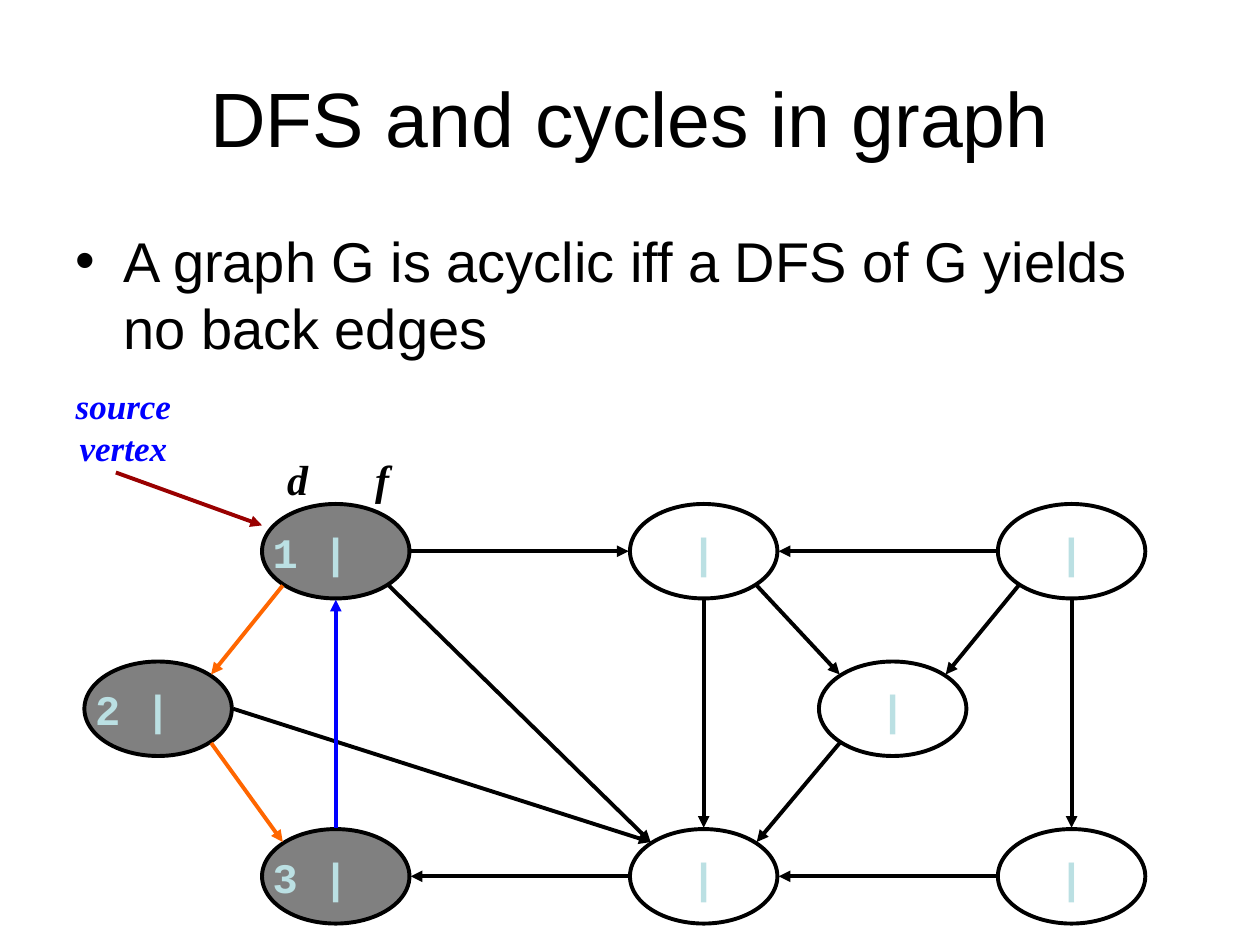
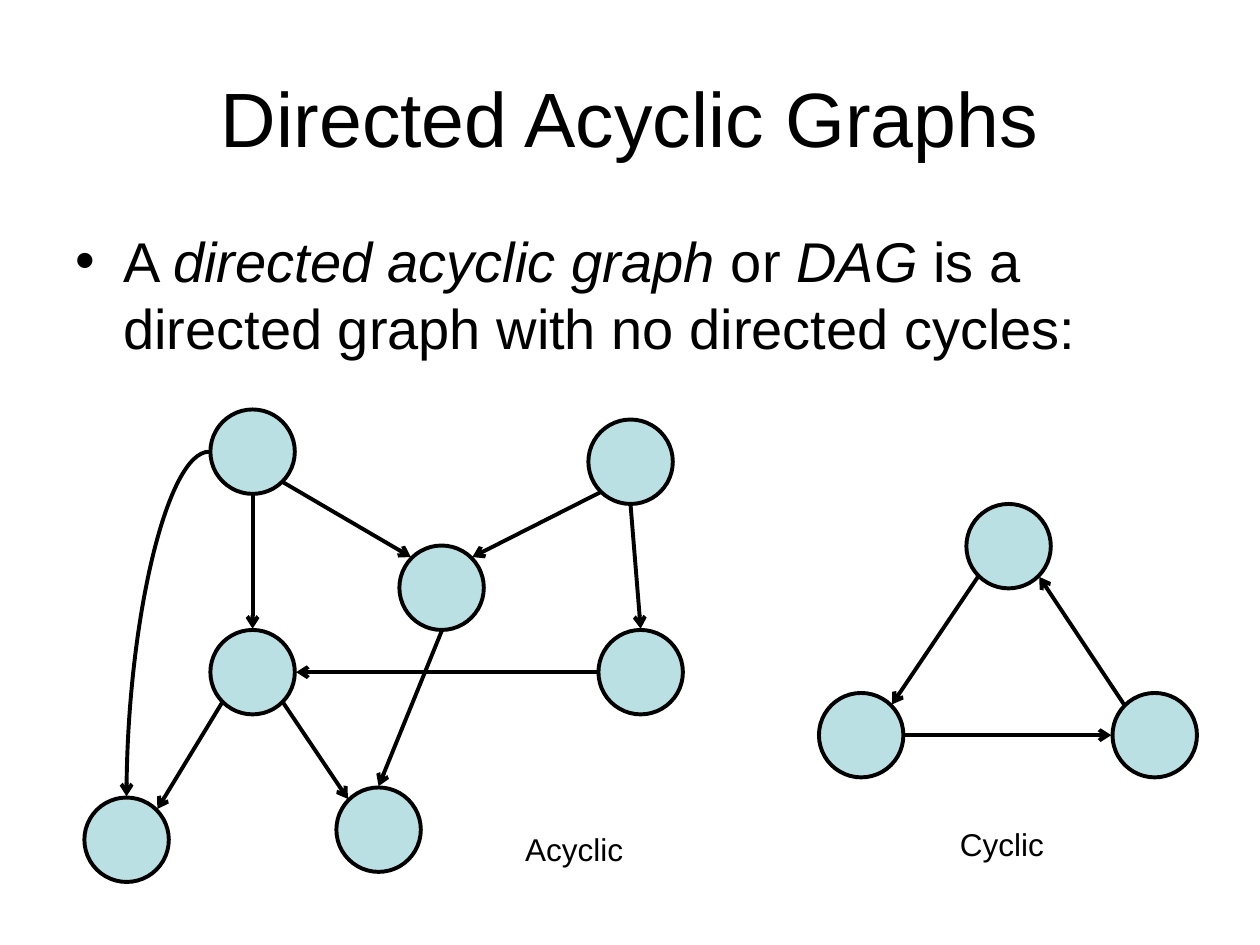
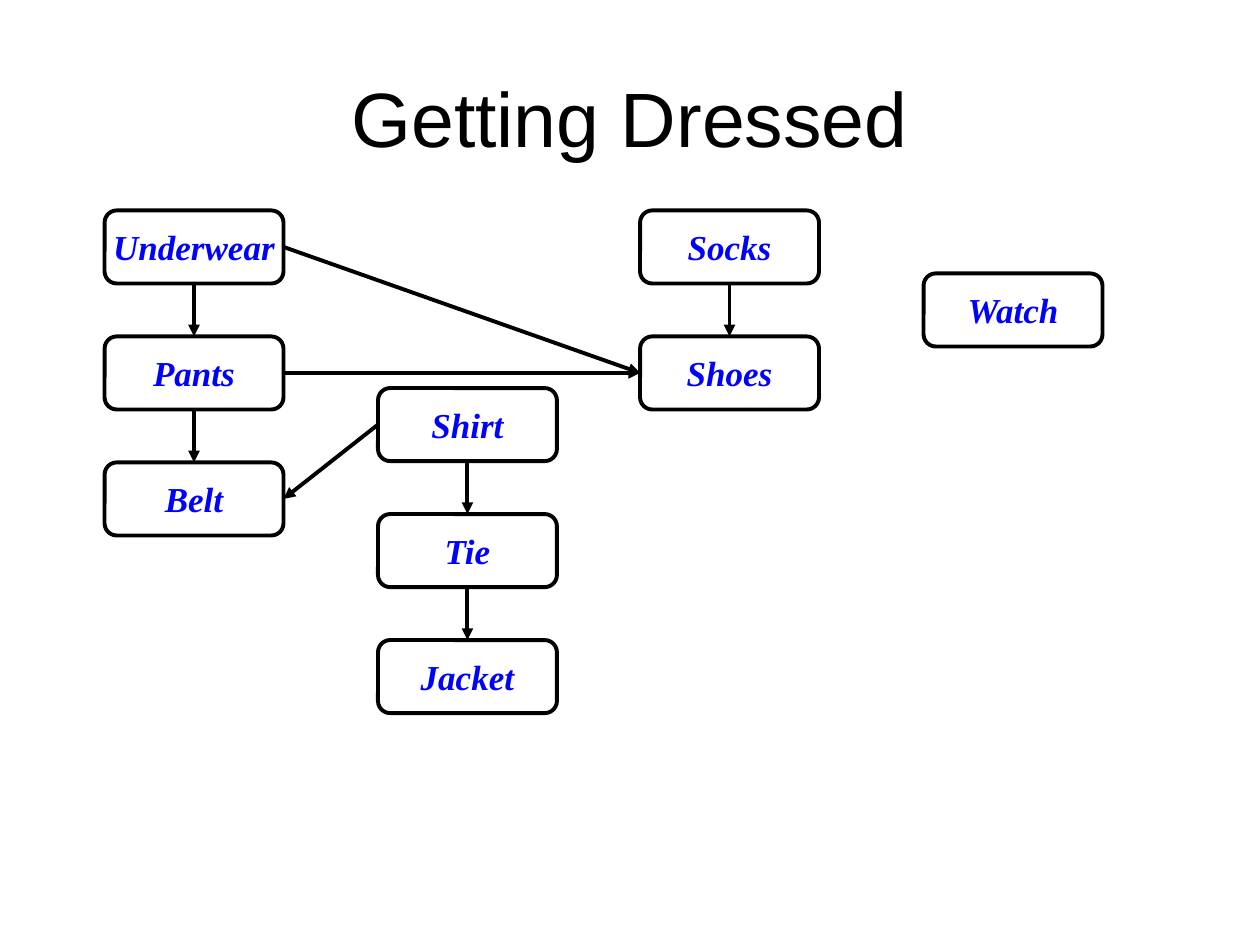
from math import sqrt

from lxml import etree
from pptx import Presentation
from pptx.dml.color import RGBColor
from pptx.enum.shapes import MSO_CONNECTOR, MSO_SHAPE
from pptx.enum.text import MSO_ANCHOR, PP_ALIGN
from pptx.oxml.ns import qn
from pptx.util import Inches, Pt

STRAIGHT, CURVE = MSO_CONNECTOR.STRAIGHT, MSO_CONNECTOR.CURVE
OVAL, ROUNDED = MSO_SHAPE.OVAL, MSO_SHAPE.ROUNDED_RECTANGLE
LEFT, CENTER = PP_ALIGN.LEFT, PP_ALIGN.CENTER
TOP, MIDDLE = MSO_ANCHOR.TOP, MSO_ANCHOR.MIDDLE

BLACK, WHITE, GRAY = "000000", "FFFFFF", "808080"
PALE_BLUE, BLUE, ORANGE, DARK_RED = "BBE0E3", "0000FF", "FF6600", "990000"
SANS, SERIF, MONO = "Arial", "Times New Roman", "Courier New"
LINE_WIDTH = Pt(2.25)

TITLE_BOX = (0.5, 0.3, 9, 1.25)
BODY_BOX = (0.5, 1.75, 9, 4.95)

# Points on an ellipse's outline, as multiples of its half width and height
DIAGONAL = 1 / sqrt(2)
COMPASS = {
    "n": (0, -1), "s": (0, 1), "w": (-1, 0), "e": (1, 0),
    "nw": (-DIAGONAL, -DIAGONAL), "ne": (DIAGONAL, -DIAGONAL),
    "sw": (-DIAGONAL, DIAGONAL), "se": (DIAGONAL, DIAGONAL),
}
SIDES = {"n": 0, "w": 1, "s": 2, "e": 3}
EDGE_GAP = 0.01


def rgb(color):
    return RGBColor.from_string(color)


def inches(*lengths):
    return [Inches(length) for length in lengths]


def format_runs(paragraph, size, font, color=BLACK, bold=False, italic=False):
    for run in paragraph.runs:
        run.font.size = Pt(size)
        run.font.name = font
        run.font.color.rgb = rgb(color)
        run.font.bold = bold
        run.font.italic = italic


def add_text(slide, box, text, size, font, align=LEFT, anchor=TOP, **style):
    text_box = slide.shapes.add_textbox(*inches(*box))
    frame = text_box.text_frame
    frame.word_wrap = True
    frame.vertical_anchor = anchor
    paragraph = frame.paragraphs[0]
    paragraph.text = text
    paragraph.alignment = align
    format_runs(paragraph, size, font, **style)
    return paragraph


def add_title(slide, text):
    add_text(slide, TITLE_BOX, text, 44, SANS, CENTER, MIDDLE)


def add_bullet(slide, parts):
    """Add the body bullet; every second part is italic."""
    paragraph = add_text(slide, BODY_BOX, "", 32, SANS)
    for part in parts:
        paragraph.add_run().text = part
    format_runs(paragraph, 32, SANS)
    for run in paragraph.runs[1::2]:
        run.font.italic = True
    paragraph.space_before = Pt(8)
    properties = paragraph._p.get_or_add_pPr()
    properties.set("marL", str(Inches(0.38)))
    properties.set("indent", str(Inches(-0.38)))
    etree.SubElement(properties, qn("a:buFont"), typeface=SANS)
    etree.SubElement(properties, qn("a:buChar"), char="•")


def add_tab_stop(paragraph, position):
    tabs = etree.SubElement(paragraph._p.get_or_add_pPr(), qn("a:tabLst"))
    etree.SubElement(tabs, qn("a:tab"), pos=str(Inches(position)), algn="l")


def add_node(slide, preset, box, fill=None):
    node = slide.shapes.add_shape(preset, *inches(*box))
    node.shadow.inherit = False
    if fill:
        node.fill.solid()
        node.fill.fore_color.rgb = rgb(fill)
    else:
        node.fill.background()
    node.line.color.rgb = rgb(BLACK)
    node.line.width = LINE_WIDTH
    return node


def label_node(node, text, size, font, color, italic=False):
    frame = node.text_frame
    frame.word_wrap = False
    frame.vertical_anchor = MIDDLE
    frame.text = text
    paragraph = frame.paragraphs[0]
    paragraph.alignment = CENTER
    format_runs(paragraph, size, font, color, bold=True, italic=italic)


def add_arrow(slide, start, end, color=BLACK, head="triangle", kind=STRAIGHT):
    arrow = slide.shapes.add_connector(kind, *inches(*start, *end))
    arrow.line.color.rgb = rgb(color)
    arrow.line.width = LINE_WIDTH
    etree.SubElement(arrow.line._get_or_add_ln(), qn("a:tailEnd"), type=head)
    etree.SubElement(arrow.element.spPr, qn("a:effectLst"))
    return arrow


def outline_point(box, direction):
    left, top, width, height = box
    across, down = COMPASS[direction]
    return (left + width / 2 + across * (width / 2 + EDGE_GAP),
            top + height / 2 + down * (height / 2 + EDGE_GAP))


def connect_ovals(slide, boxes, edges, **style):
    for source, leaving, target, entering in edges:
        add_arrow(slide, outline_point(boxes[source], leaving),
                  outline_point(boxes[target], entering), **style)


def add_search_graph(slide, left, top):
    width, height = 1.17, 0.75
    columns = [left + 1.41 + 2.92 * index for index in range(3)]
    middle, bottom = top + 1.25, top + 2.58
    corners = {
        "first": (columns[0], top), "upper": (columns[1], top),
        "corner": (columns[2], top), "last": (columns[2], bottom),
        "lower": (columns[1], bottom), "third": (columns[0], bottom),
        "second": (left, middle), "inner": (left + 5.83, middle),
    }
    discovery_times = {"first": 1, "second": 2, "third": 3}
    boxes = {name: (*corner, width, height) for name, corner in corners.items()}
    for name, box in boxes.items():
        time = discovery_times.get(name)
        node = add_node(slide, OVAL, box, GRAY if time else None)
        label_node(node, f"{time} |" if time else "|", 24, MONO, PALE_BLUE)
        if time:
            node.text_frame.margin_left = 0
            node.text_frame.margin_right = Inches(0.4)

    connect_ovals(slide, boxes, [
        ("first", "sw", "second", "ne"), ("second", "se", "third", "nw"),
    ], color=ORANGE)
    connect_ovals(slide, boxes, [
        ("second", "e", "lower", "nw"), ("lower", "w", "third", "e"),
        ("first", "se", "lower", "nw"), ("upper", "s", "lower", "n"),
        ("first", "e", "upper", "w"), ("corner", "w", "upper", "e"),
        ("upper", "se", "inner", "nw"), ("corner", "sw", "inner", "ne"),
        ("corner", "s", "last", "n"), ("last", "w", "lower", "e"),
        ("inner", "sw", "lower", "ne"),
    ])
    connect_ovals(slide, boxes, [("third", "n", "first", "s")], color=BLUE)

    times = add_text(slide, (left + 1.51, top - 0.45, 1.4, 0.5), "d\tf", 24, SERIF,
                     anchor=MIDDLE, bold=True, italic=True)
    add_tab_stop(times, 0.7)
    add_arrow(slide, (left + 0.25, top - 0.25), (columns[0], top + 0.17), DARK_RED)
    add_text(slide, (left - 0.27, top - 1, 1.16, 0.77), "source\nvertex", 20, SERIF,
             CENTER, color=BLUE, bold=True, italic=True)


def add_circles(slide, left, top, corners):
    size = 0.67
    boxes = {name: (left + x, top + y, size, size) for name, (x, y) in corners.items()}
    for box in boxes.values():
        add_node(slide, OVAL, box, PALE_BLUE)
    return boxes


def add_acyclic_graph(slide, left, top):
    boxes = add_circles(slide, left, top, {
        "left root": (1, 0), "right root": (4, 0.08), "center": (2.5, 1.08),
        "left": (1, 1.75), "right": (4.08, 1.75),
        "right leaf": (2, 3), "left leaf": (0, 3.08),
    })
    connect_ovals(slide, boxes, [
        ("left root", "s", "left", "n"), ("left root", "se", "center", "nw"),
        ("right root", "sw", "center", "ne"), ("right root", "s", "right", "n"),
        ("right", "w", "left", "e"), ("center", "s", "right leaf", "n"),
        ("left", "se", "right leaf", "nw"), ("left", "sw", "left leaf", "ne"),
    ], head="arrow")
    bend = add_arrow(slide, outline_point(boxes["left root"], "w"),
                     outline_point(boxes["left leaf"], "n"), head="arrow", kind=CURVE)
    bend.element.spPr.find(qn("a:prstGeom")).set("prst", "curvedConnector2")
    add_text(slide, (left + 3.4, top + 3.29, 1.2, 0.4), "Acyclic", 18, SANS)


def add_cyclic_graph(slide, left, top):
    boxes = add_circles(slide, left, top, {
        "top": (1.17, 0), "right": (2.33, 1.5), "left": (0, 1.5),
    })
    connect_ovals(slide, boxes, [
        ("top", "sw", "left", "ne"), ("left", "e", "right", "w"),
        ("right", "nw", "top", "se"),
    ], head="arrow")
    add_text(slide, (left + 1.02, top + 2.5, 1.2, 0.4), "Cyclic", 18, SANS)


def add_clothing_graph(slide, left, top):
    columns = [
        (0, 0, ["Underwear", "Pants", "Belt"]),
        (4.25, 0, ["Socks", "Shoes"]),
        (2.17, 1.41, ["Shirt", "Tie", "Jacket"]),
        (6.5, 0.5, ["Watch"]),
    ]
    nodes = {}
    edges = [("Shirt", "w", "Belt", "e"), ("Underwear", "e", "Shoes", "w"),
             ("Pants", "e", "Shoes", "w")]
    for x, y, garments in columns:
        for row, garment in enumerate(garments):
            node = add_node(slide, ROUNDED, (left + x, top + y + row, 1.42, 0.58))
            label_node(node, garment, 20, SERIF, BLUE, italic=True)
            nodes[garment] = node
        edges += [(upper, "s", lower, "n") for upper, lower in zip(garments, garments[1:])]
    for source, leaving, target, entering in edges:
        arrow = add_arrow(slide, (left, top), (left, top))
        arrow.begin_connect(nodes[source], SIDES[leaving])
        arrow.end_connect(nodes[target], SIDES[entering])


def add_slide(presentation, title):
    slide = presentation.slides.add_slide(presentation.slide_layouts[6])
    slide.background.fill.solid()
    slide.background.fill.fore_color.rgb = rgb(WHITE)
    add_title(slide, title)
    return slide


def main():
    presentation = Presentation()
    presentation.slide_width, presentation.slide_height = inches(10, 7.5)

    slide = add_slide(presentation, "DFS and cycles in graph")
    add_bullet(slide, ["A graph G is acyclic iff a DFS of G yields no back edges"])
    add_search_graph(slide, 0.67, 4)

    slide = add_slide(presentation, "Directed Acyclic Graphs")
    add_bullet(slide, ["A ", "directed acyclic graph", " or ", "DAG",
                       " is a directed graph with no directed cycles:"])
    add_acyclic_graph(slide, 0.67, 3.25)
    add_cyclic_graph(slide, 6.5, 4)

    slide = add_slide(presentation, "Getting Dressed")
    add_clothing_graph(slide, 0.83, 1.67)

    presentation.save("out.pptx")


if __name__ == "__main__":
    main()
